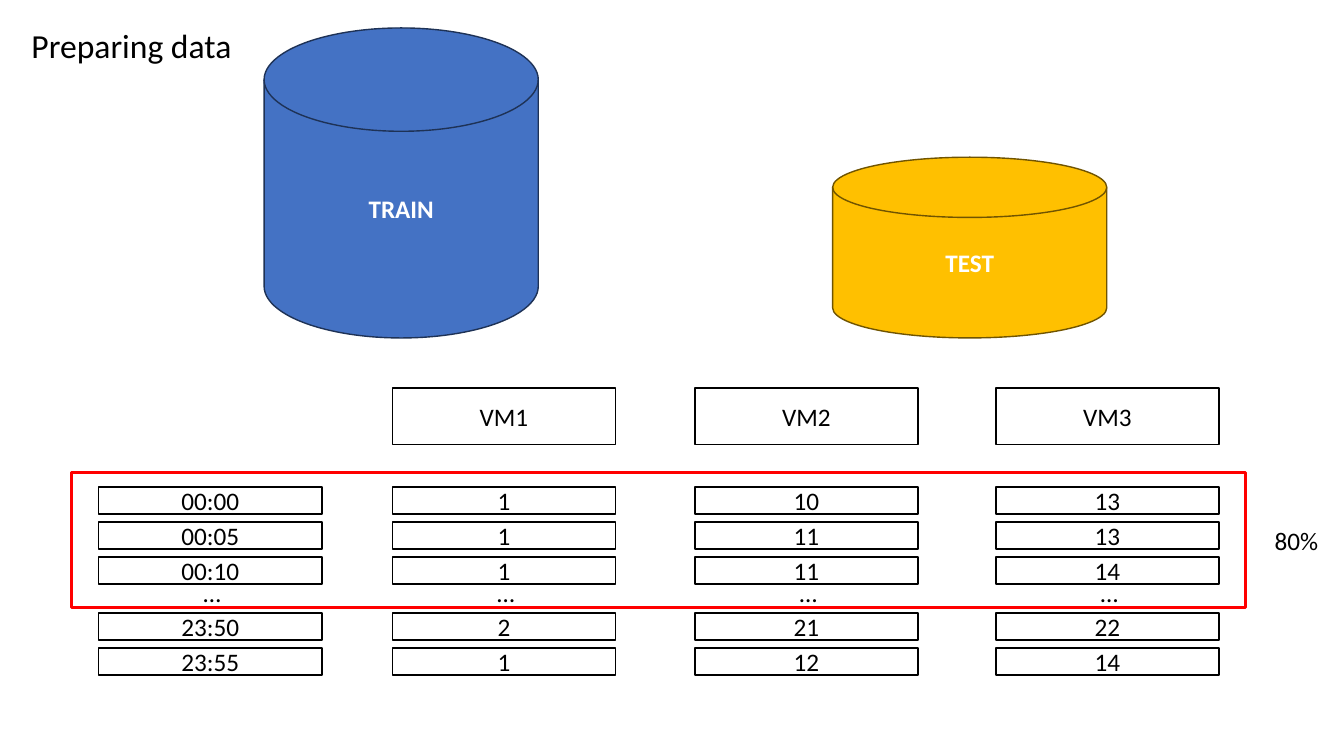
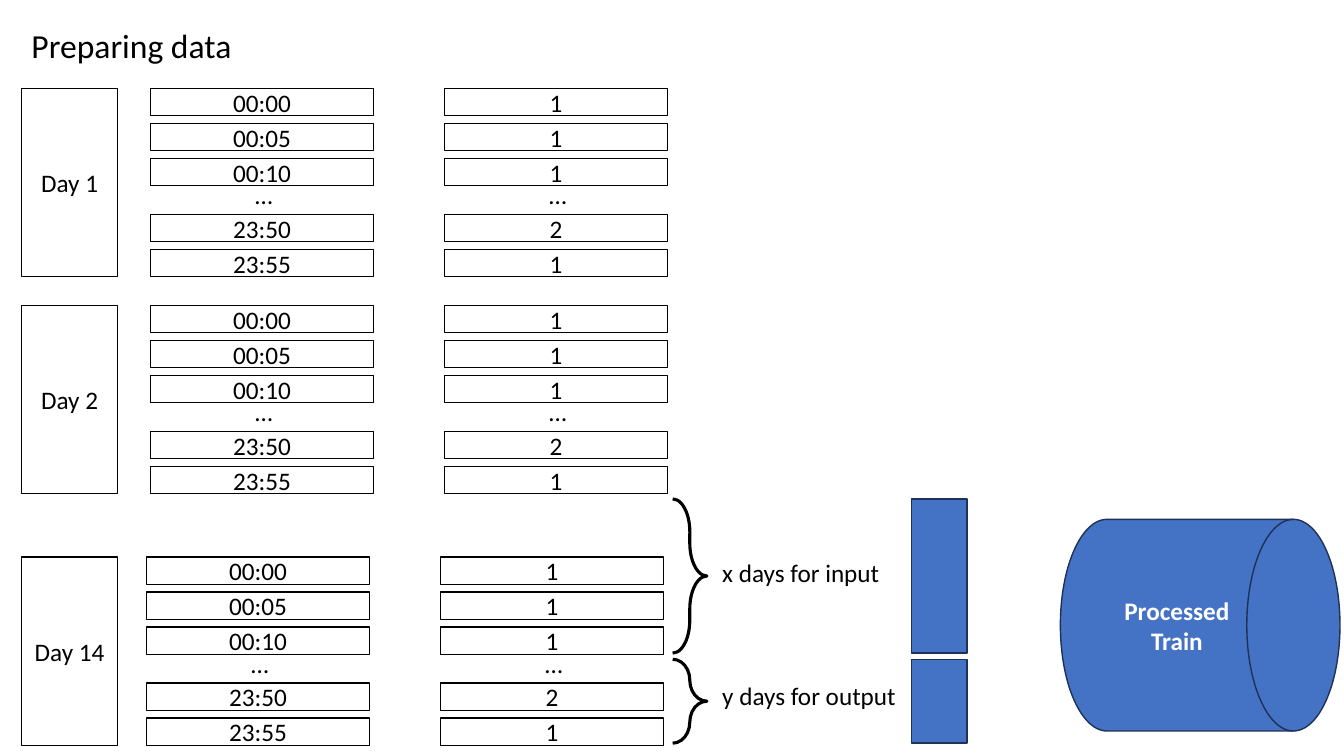
import pptx
import pptx.dml.color
import pptx.enum.shapes
import pptx.enum.text
import pptx.util

WIDTH = pptx.util.Inches(13.33)
HEIGHT = pptx.util.Inches(7.5)
KIND = pptx.enum.shapes.MSO_SHAPE
FIT = pptx.enum.text.MSO_AUTO_SIZE
ANCHOR = pptx.enum.text.MSO_ANCHOR
ALIGN = pptx.enum.text.PP_ALIGN

BLACK, WHITE, RED = "000000", "FFFFFF", "FF0000"
BLUE, NAVY = "4472C4", "1E3256"
GOLD, BROWN = "FFC000", "705400"

BODY = {"name": "Calibri", "size": pptx.util.Pt(18), "bold": False}
TITLE = {**BODY, "size": pptx.util.Pt(24)}
STRONG = {**BODY, "bold": True}

CELL_W, CELL_H, PITCH = 16.6, 3.6, 4.63
ROWS = (0, 1, 2, 3.6, 4.6)
STACK_H = ROWS[-1] * PITCH + CELL_H
TIMES = ("00:00", "00:05", "00:10", "23:50", "23:55")
LOADS = ("1", "1", "1", "2", "1")


def hue(code):
    return pptx.dml.color.RGBColor.from_string(code)


def place(left, top, width, height):
    return [int(share * size / 100) for share, size in
            zip((left, top, width, height), (WIDTH, HEIGHT) * 2)]


def assign(target, values):
    for key, value in values.items():
        setattr(target, key, value)


def write(frame, words, style, ink, align):
    par = frame.paragraphs[0]
    par.alignment = align
    run = par.add_run()
    run.text = words
    assign(run.font, style)
    run.font.color.rgb = hue(ink)


def label(shapes, area, words, style=BODY, wrap=True):
    frame = shapes.add_textbox(*place(*area)).text_frame
    assign(frame, {"word_wrap": wrap, "auto_size": FIT.SHAPE_TO_FIT_TEXT})
    write(frame, words, style, BLACK, ALIGN.LEFT)


def draw(shapes, kind, area, fill=None, line=BLACK, weight=1):
    shape = shapes.add_shape(kind, *place(*area))
    shape.shadow.inherit = False
    if fill:
        shape.fill.solid()
        shape.fill.fore_color.rgb = hue(fill)
    else:
        shape.fill.background()
    shape.line.color.rgb = hue(line)
    shape.line.width = pptx.util.Pt(weight)
    return shape


def fill_in(shape, words, style, ink):
    shape.text_frame.vertical_anchor = ANCHOR.MIDDLE
    write(shape.text_frame, words, style, ink, ALIGN.CENTER)


def box(shapes, area, words):
    fill_in(draw(shapes, KIND.RECTANGLE, area, WHITE), words, BODY, BLACK)


def store(shapes, kind, area, words, fill, line):
    fill_in(draw(shapes, kind, area, fill, line), words, STRONG, WHITE)


def stack(shapes, left, top, values):
    group = shapes.add_group_shape().shapes
    for row, value in zip(ROWS, values):
        box(group, (left, top + row * PITCH, CELL_W, CELL_H), value)
    label(group, (left + 7.05, top + 11.35, 2.3, 3.7), "…")


def brace(shapes, top, height):
    shape = draw(shapes, KIND.RIGHT_BRACE, (50.05, top, 2.55, height), weight=2.25)
    shape.adjustments[0] = 0.96


def start(deck):
    shapes = deck.slides.add_slide(deck.slide_layouts[6]).shapes
    label(shapes, (1.6, 2.7, 23.1, 6.7), "Preparing data", TITLE)
    return shapes


def split(deck):
    shapes = start(deck)
    disk = KIND.FLOWCHART_MAGNETIC_DISK
    store(shapes, disk, (19.65, 3.7, 20.4, 41), "TRAIN", BLUE, NAVY)
    store(shapes, disk, (61.95, 20.8, 20.4, 23.9), "TEST", GOLD, BROWN)
    stack(shapes, 7.35, 64.4, TIMES)
    for name, left, values in (
        ("VM1", 29.2, LOADS),
        ("VM2", 51.7, ("10", "11", "11", "21", "12")),
        ("VM3", 74.1, ("13", "13", "14", "22", "14")),
    ):
        box(shapes, (left, 51.3, CELL_W, 7.5), name)
        stack(shapes, left, 64.4, values)
    draw(shapes, KIND.RECTANGLE, (5.3, 62.5, 87.4, 17.9), line=RED, weight=2.25)
    label(shapes, (94.1, 68.8, 4.8, 5.3), "80%", wrap=False)


def window(deck):
    shapes = start(deck)
    for day, left, top in (("Day 1", 11.2, 11.7), ("Day 2", 11.2, 40.4),
                           ("Day 14", 10.9, 73.7)):
        box(shapes, (1.6, top, 7.15, STACK_H), day)
        stack(shapes, left, top, TIMES)
        stack(shapes, left + 21.87, top, LOADS)
    for words, top, height, text_top, width in (
        ("x days for input", 66, 20.4, 73.1, 13.35),
        ("y days for output", 87.2, 11.1, 89.3, 14.55),
    ):
        brace(shapes, top, height)
        label(shapes, (53, text_top, width, 5.3), words, wrap=False)
        draw(shapes, KIND.RECTANGLE, (67.8, top, 4.15, height), BLUE, NAVY)
    store(shapes, KIND.FLOWCHART_DIRECT_ACCESS_STORAGE, (78.9, 68.7, 20.8, 28),
          "Processed Train", BLUE, NAVY)


def main():
    deck = pptx.Presentation()
    assign(deck, {"slide_width": WIDTH, "slide_height": HEIGHT})
    split(deck)
    window(deck)
    deck.save("out.pptx")


if __name__ == "__main__":
    main()
